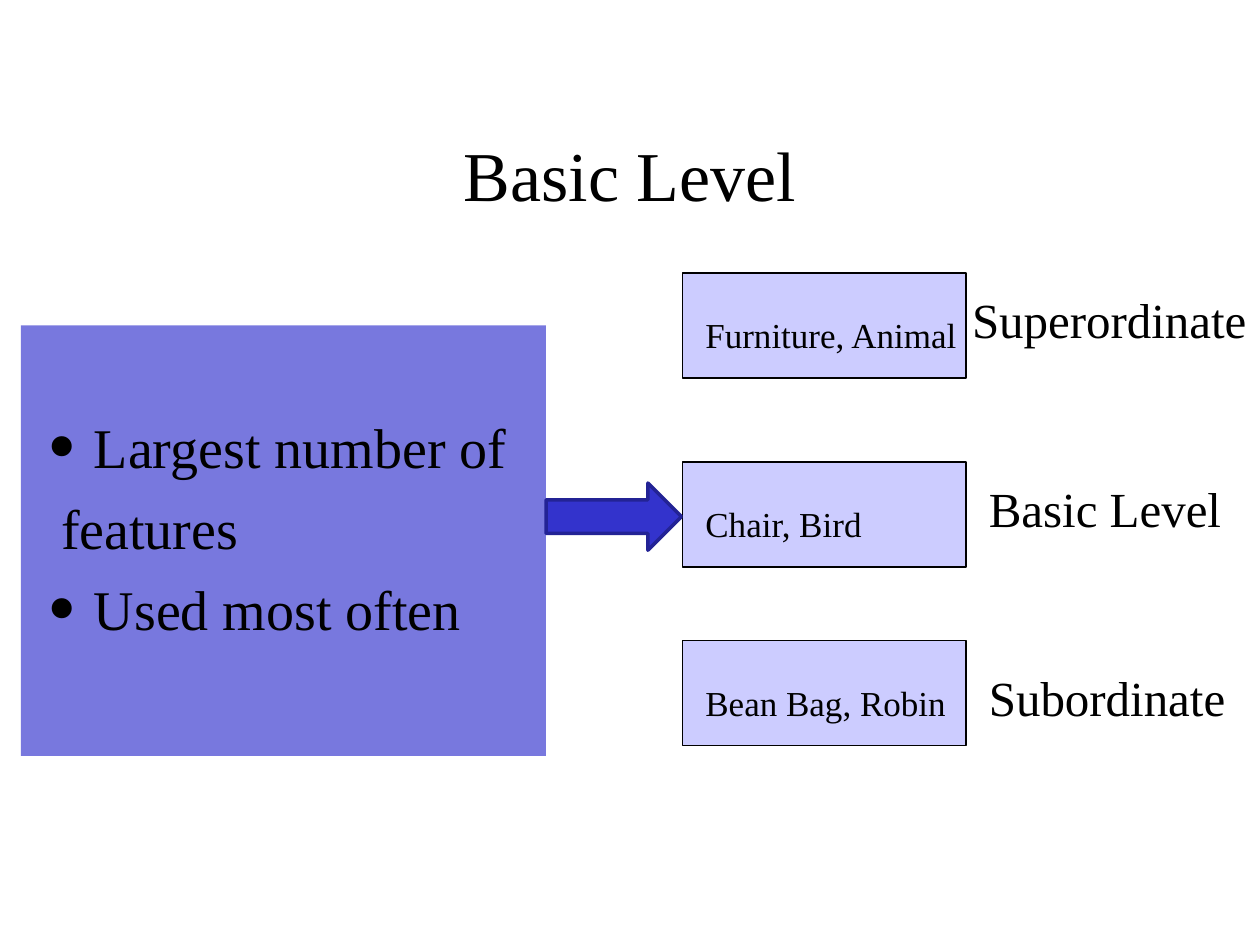
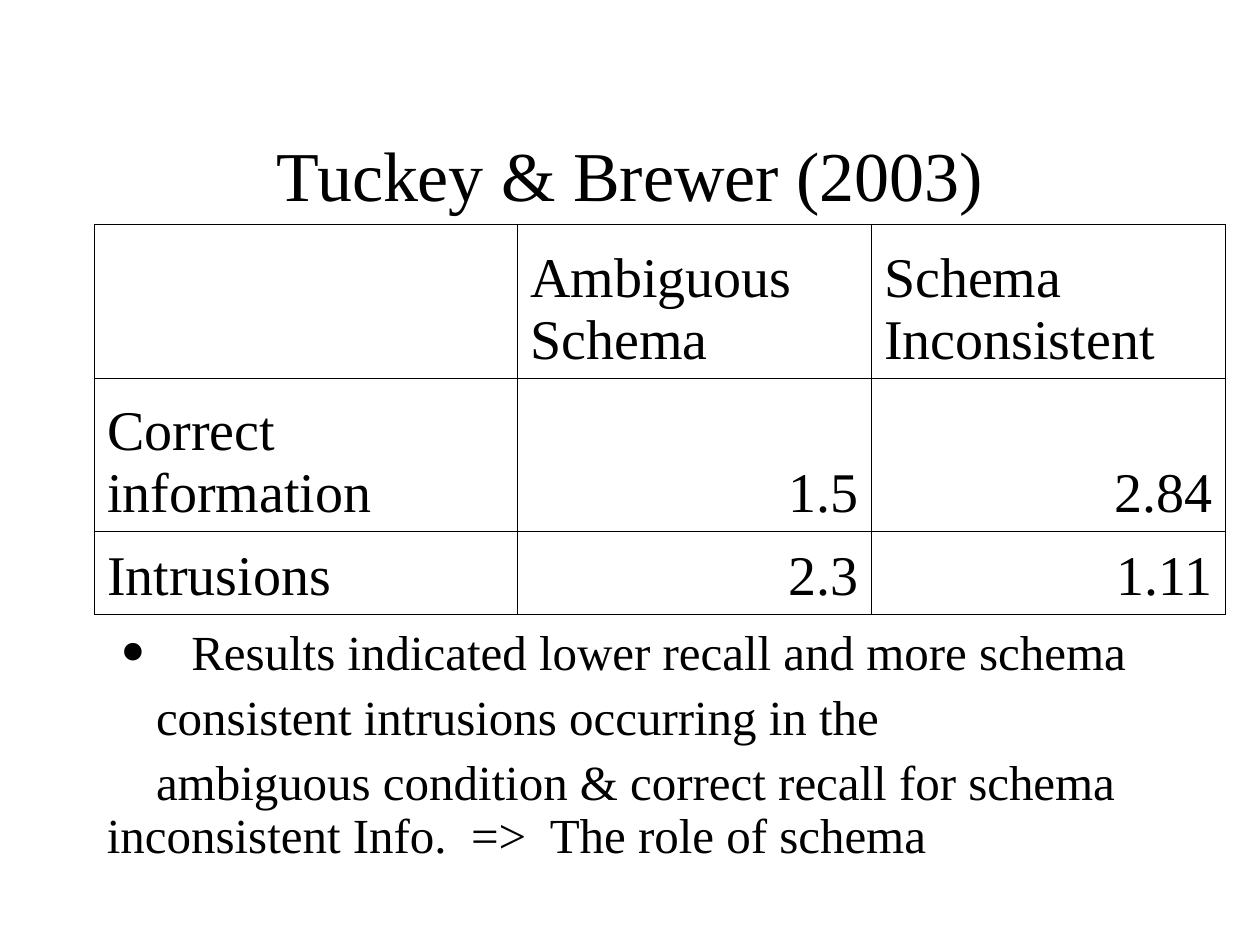
from dataclasses import dataclass
from typing import NamedTuple

from lxml.etree import SubElement
from pptx import Presentation
from pptx.dml.color import RGBColor
from pptx.enum.shapes import MSO_SHAPE
from pptx.enum.text import MSO_ANCHOR, PP_ALIGN
from pptx.oxml import parse_xml
from pptx.oxml.ns import nsdecls, qn
from pptx.util import Emu, Inches, Pt

SLIDE_WIDTH, SLIDE_HEIGHT = Inches(10), Inches(7.5)
COLUMNS, ROWS = 120, 90
FONT = "Times New Roman"
BLACK = "000000"
PANEL, LEVEL_FILL = "7878DE", "CCCCFF"
ARROW_FILL, ARROW_LINE = "3333CC", "232395"


class Area(NamedTuple):
    """A place on the grid, in columns and rows."""
    column: float
    row: float
    width: float
    height: float


@dataclass
class Line:
    text: str
    left: float = 0  # margin, inches
    first: float = 0  # first line, relative to the margin
    bullet: bool = False


@dataclass
class Level:
    """One category box with its examples and the name beside it."""
    row: float
    examples: str
    examples_row: float
    examples_width: float
    name: str
    name_column: float
    name_row: float
    name_width: float


TITLE_AREA = Area(9, 14, 102, 5)
LEVELS = [
    Level(26, "Furniture, Animal", 29.3, 26.6, "Superordinate", 91.4, 27, 28.6),
    Level(44, "Chair, Bird", 47.3, 17.5, "Basic Level", 93, 45, 24.7),
    Level(61, "Bean Bag, Robin", 64.3, 25.5, "Subordinate", 93, 63, 25.4),
]
FEATURES = [
    Line("Largest number of", 0.48, -0.37, True),
    Line("features", 0.22),
    Line("Used most often", 0.48, -0.37, True),
]
FINDINGS = [
    Line("Results indicated lower recall and more schema", 0.67, -0.56, True),
    Line("consistent intrusions occurring in the", 0.39),
    Line("ambiguous condition & correct recall for schema "
         "inconsistent Info.  =>  The role of schema", 0, 0.39),
]
RECALL = [
    ["", "Ambiguous Schema", "Schema Inconsistent"],
    ["Correct information", "1.5", "2.84"],
    ["Intrusions", "2.3", "1.11"],
]


def color(value: str) -> RGBColor:
    return RGBColor.from_string(value)


def across(columns: float) -> Emu:
    return Emu(round(SLIDE_WIDTH * columns / COLUMNS))


def down(rows: float) -> Emu:
    return Emu(round(SLIDE_HEIGHT * rows / ROWS))


def place(area: Area) -> tuple:
    return across(area.column), down(area.row), across(area.width), down(area.height)


def format_runs(paragraph, size: float) -> None:
    for run in paragraph.runs:
        run.font.name = FONT
        run.font.size = Pt(size)
        run.font.color.rgb = color(BLACK)


def add_label(slide, area: Area, text: str, size: float):
    """Add one line of text that does not wrap."""
    shape = slide.shapes.add_textbox(*place(area))
    text_frame = shape.text_frame
    text_frame.word_wrap = False
    text_frame.text = text
    format_runs(text_frame.paragraphs[0], size)
    return shape


def add_title(slide, text: str) -> None:
    text_frame = add_label(slide, TITLE_AREA, text, 40).text_frame
    text_frame.word_wrap = True
    text_frame.vertical_anchor = MSO_ANCHOR.MIDDLE
    text_frame.paragraphs[0].alignment = PP_ALIGN.CENTER


def add_block(slide, kind: MSO_SHAPE, area: Area, fill: str,
              line: str = "", line_width: float = 0.75):
    shape = slide.shapes.add_shape(kind, *place(area))
    shape.shadow.inherit = False
    shape.fill.solid()
    shape.fill.fore_color.rgb = color(fill)
    if line:
        shape.line.color.rgb = color(line)
        shape.line.width = Pt(line_width)
    else:
        shape.line.fill.background()
    return shape


def add_bullet(properties) -> None:
    bullet_color = SubElement(properties, qn("a:buClr"))
    SubElement(bullet_color, qn("a:srgbClr"), val=BLACK)
    SubElement(properties, qn("a:buSzPct"), val="150000")
    SubElement(properties, qn("a:buFont"), typeface=FONT)
    SubElement(properties, qn("a:buChar"), char="•")


def write_lines(text_frame, lines: list[Line], size: float,
                spacing: float, before: float) -> None:
    text_frame.word_wrap = True
    text_frame.vertical_anchor = MSO_ANCHOR.TOP
    text_frame.text = "\n".join(line.text for line in lines)
    for index, (paragraph, line) in enumerate(zip(text_frame.paragraphs, lines)):
        paragraph.alignment = PP_ALIGN.LEFT
        paragraph.line_spacing = spacing
        if index:
            paragraph.space_before = Pt(before)
        properties = paragraph._p.get_or_add_pPr()
        properties.set("marL", str(Inches(line.left)))
        properties.set("indent", str(Inches(line.first)))
        if line.bullet:
            add_bullet(properties)
        format_runs(paragraph, size)


def set_borders(cell, width: float) -> None:
    properties = cell._tc.get_or_add_tcPr()
    for index, side in enumerate(("lnL", "lnR", "lnT", "lnB")):
        properties.insert(index, parse_xml(
            f'<a:{side} {nsdecls("a")} w="{Pt(width)}"><a:solidFill>'
            f'<a:srgbClr val="{BLACK}"/></a:solidFill></a:{side}>'))


def add_recall_table(slide) -> None:
    column_widths, row_heights = (40.3, 33.7, 33.7), (14.6, 14.6, 7.9)
    area = Area(9, 21.4, sum(column_widths), sum(row_heights))
    table = slide.shapes.add_table(len(RECALL), len(RECALL[0]), *place(area)).table
    table.first_row = table.horz_banding = False
    for column, width in zip(table.columns, column_widths):
        column.width = across(width)
    for row, height, texts in zip(table.rows, row_heights, RECALL):
        row.height = down(height)
        for index, (cell, text) in enumerate(zip(row.cells, texts)):
            cell.text = text
            cell.vertical_anchor = MSO_ANCHOR.BOTTOM
            cell.fill.background()
            set_borders(cell, 0.45)
            paragraph = cell.text_frame.paragraphs[0]
            is_value = index > 0 and texts[0]
            paragraph.alignment = PP_ALIGN.RIGHT if is_value else PP_ALIGN.LEFT
            format_runs(paragraph, 32)


def build_basic_level(slide) -> None:
    add_title(slide, "Basic Level")
    panel = add_block(slide, MSO_SHAPE.RECTANGLE, Area(2, 31, 50, 41), PANEL)
    panel.text_frame.margin_top = Inches(0.69)
    write_lines(panel.text_frame, FEATURES, size=32, spacing=1.0, before=8)
    for level in LEVELS:
        add_block(slide, MSO_SHAPE.RECTANGLE, Area(65, level.row, 27, 10),
                  LEVEL_FILL, BLACK)
        add_label(slide, Area(66, level.examples_row, level.examples_width, 5.3),
                  level.examples, 20)
        add_label(slide, Area(level.name_column, level.name_row, level.name_width, 6.8),
                  level.name, 28)
    add_block(slide, MSO_SHAPE.RIGHT_ARROW, Area(52, 46, 12.9, 6.4),
              ARROW_FILL, ARROW_LINE, 2)


def build_recall_study(slide) -> None:
    add_title(slide, "Tuckey & Brewer (2003)")
    add_recall_table(slide)
    findings = slide.shapes.add_textbox(*place(Area(9, 59.2, 103.8, 24.7)))
    write_lines(findings.text_frame, FINDINGS, size=28, spacing=0.9, before=7)


def main() -> None:
    presentation = Presentation()
    presentation.slide_width, presentation.slide_height = SLIDE_WIDTH, SLIDE_HEIGHT
    blank = presentation.slide_layouts[6]
    for build in (build_basic_level, build_recall_study):
        build(presentation.slides.add_slide(blank))
    presentation.save("out.pptx")


if __name__ == "__main__":
    main()
